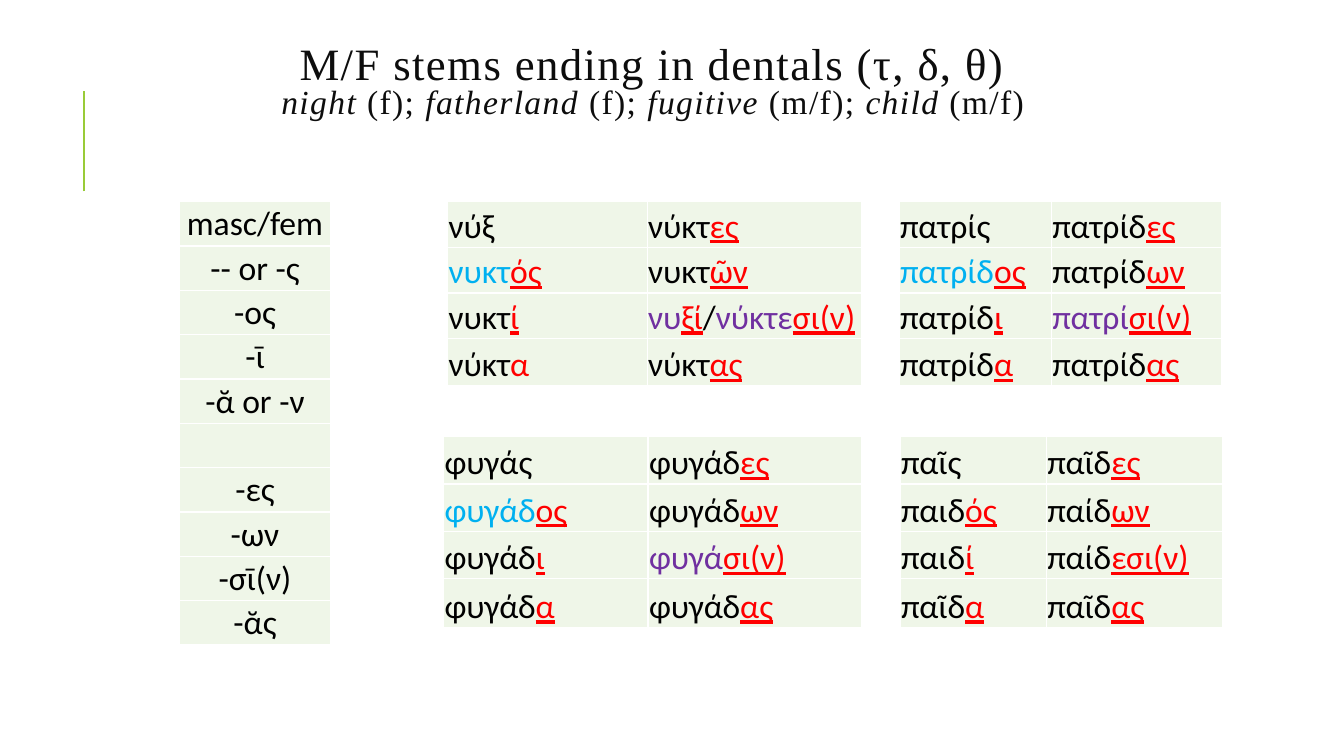
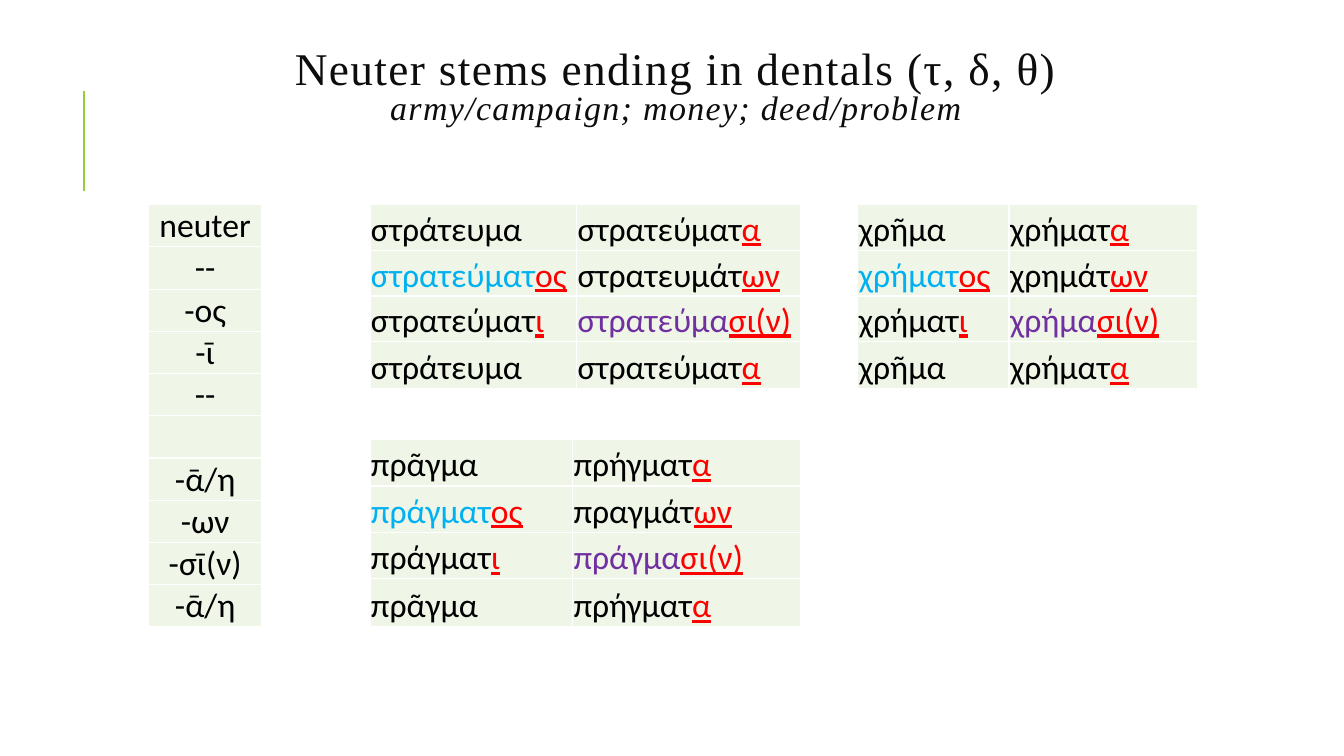
from dataclasses import dataclass

from lxml import etree
from pptx import Presentation
from pptx.dml.color import RGBColor
from pptx.enum.shapes import MSO_CONNECTOR
from pptx.enum.text import MSO_ANCHOR, PP_ALIGN
from pptx.oxml.ns import qn
from pptx.util import Inches, Pt

CENTER, LEFT = PP_ALIGN.CENTER, PP_ALIGN.LEFT
MIDDLE, BOTTOM = MSO_ANCHOR.MIDDLE, MSO_ANCHOR.BOTTOM
STRAIGHT = MSO_CONNECTOR.STRAIGHT


@dataclass(frozen=True)
class Theme:
    title_font: str = "Times New Roman"
    body_font: str = "Calibri"
    title_color: str = "0D0D0D"
    text: str = "000000"
    ending: str = "FF0000"
    genitive: str = "00B0F0"
    dative: str = "7030A0"
    accent: str = "99CB38"
    cell: str = "EFF6E8"
    border: str = "FFFFFF"
    title_size: float = 32
    subtitle_ratio: float = 0.75
    body_size: float = 24


THEME = Theme()

# First character of a word part -> its format
MARKS = {
    "+": dict(color=THEME.ending, underline=True),
    "!": dict(color=THEME.ending),
    "@": dict(color=THEME.genitive),
    "#": dict(color=THEME.dative),
}


def add_run(p, text, font=THEME.body_font, size=THEME.body_size,
            color=THEME.text, italic=None, underline=None, spacing=None):
    r = p.add_run()
    r.text = text
    f = r.font
    f.name, f.size, f.italic, f.underline = font, Pt(size), italic, underline
    f.color.rgb = RGBColor.from_string(color)
    if spacing:
        r._r.get_or_add_rPr().set("spc", str(spacing * 100))


def set_borders(cell, color, width):
    tcPr = cell._tc.get_or_add_tcPr()
    for i, side in enumerate(("lnL", "lnR", "lnT", "lnB")):
        ln = etree.Element(qn("a:" + side), w=str(Pt(width)))
        fill = etree.SubElement(ln, qn("a:solidFill"))
        etree.SubElement(fill, qn("a:srgbClr"), val=color)
        tcPr.insert(i, ln)


class Deck:
    """Lengths are percentages of the slide's width (x) and height (y)."""

    def __init__(self, theme):
        self.theme = theme
        self.prs = Presentation()
        self.prs.slide_width, self.prs.slide_height = Inches(13.333), Inches(7.5)

    def x(self, share):
        return round(self.prs.slide_width * share / 100)

    def y(self, share):
        return round(self.prs.slide_height * share / 100)

    def new_slide(self):
        self.s = self.prs.slides.add_slide(self.prs.slide_layouts[6])
        self.side_line()

    def side_line(self):
        x = self.x(6.25)
        line = self.s.shapes.add_connector(STRAIGHT, x, self.y(25.33), x, self.y(12))
        line.line.color.rgb = RGBColor.from_string(self.theme.accent)
        line.line.width = Pt(1.5)
        etree.SubElement(line._element.spPr, qn("a:effectLst"))

    def title(self, box, heading, subtitle, size=THEME.title_size):
        """In the subtitle, asterisks enclose italics."""
        left, top, width, height = box
        tf = self.s.shapes.add_textbox(self.x(left), self.y(top),
                                       self.x(width), self.y(height)).text_frame
        tf.word_wrap = True
        tf.vertical_anchor = MIDDLE
        p = tf.paragraphs[0]
        p.alignment, p.line_spacing = CENTER, 0.8
        style = dict(font=self.theme.title_font, color=self.theme.title_color, spacing=1)
        add_run(p, heading, size=size, **style)
        p.add_line_break()
        for i, part in enumerate(subtitle.split("*")):
            if part:
                add_run(p, part, size=size * self.theme.subtitle_ratio,
                        italic=i % 2 == 1, **style)

    def table(self, left, top, widths, height, rows, anchor, align, last_extra=0):
        """Each cell is a list of marked word parts."""
        tbl = self.s.shapes.add_table(len(rows), len(widths), self.x(left), self.y(top),
                                      self.x(sum(widths)), self.y(height)).table
        tbl.first_row = tbl.horz_banding = False
        for col, width in zip(tbl.columns, widths):
            col.width = self.x(width)
        for row in tbl.rows:
            row.height = self.y((height - last_extra) / len(rows))
        tbl.rows[len(rows) - 1].height += self.y(last_extra)
        for i, row in enumerate(rows):
            for j, parts in enumerate(row):
                self.cell(tbl.cell(i, j), parts, anchor, align)

    def cell(self, cell, parts, anchor, align):
        cell.fill.solid()
        cell.fill.fore_color.rgb = RGBColor.from_string(self.theme.cell)
        set_borders(cell, self.theme.border, 1)
        cell.margin_left = cell.margin_right = cell.margin_top = Inches(0.01)
        cell.margin_bottom = 0
        cell.vertical_anchor = anchor
        p = cell.text_frame.paragraphs[0]
        p.alignment = align
        p.font.size = Pt(self.theme.body_size)
        for part in parts:
            style = MARKS.get(part[0], {})
            add_run(p, part[1:] if style else part, **style)

    def endings(self, left, top, width, height, texts):
        rows = [[[text] if text else []] for text in texts]
        self.table(left, top, [width], height, rows, MIDDLE, CENTER)

    def paradigm(self, left, top, widths, height, forms):
        """Forms are (singular, plural) pairs; spaces separate word parts."""
        rows = [[form.split() for form in pair] for pair in forms]
        self.table(left, top, widths, height, rows, BOTTOM, LEFT, last_extra=0.2)


def main():
    deck = Deck(THEME)

    # Masculine and feminine stems
    deck.new_slide()
    deck.title((8.7, 4.53, 79.73, 13.07), "M/F stems ending in dentals (τ, δ, θ)",
               "*night *(f); *fatherland *(f); *fugitive *(m/f); *child *(m/f)")
    upper, lower = 26.67, 57.73
    deck.endings(13.35, upper, 11.25, 58.67,
                 ["masc/fem", "-- or -ς", "-ος", "-ῑ", "-ᾰ or -ν", "",
                  "-ες", "-ων", "-σῑ(ν)", "-ᾰς"])
    deck.paradigm(33.3, upper, [14.85, 15.98], 24.4, [
        ("νύξ", "νύκτ +ες"),
        ("@νυκτ +ός", "νυκτ +ῶν"),
        ("νυκτ +ί", "#νυ +ξί / #νύκτε +σι(ν)"),
        ("νύκτ !α", "νύκτ +ας")])
    deck.paradigm(66.9, upper, [11.33, 12.68], 24.4, [
        ("πατρίς", "πατρίδ +ες"),
        ("@πατρίδ +ος", "πατρίδ +ων"),
        ("πατρίδ +ι", "#πατρί +σι(ν)"),
        ("πατρίδ +α", "πατρίδ +ας")])
    deck.paradigm(33, lower, [15.22, 15.9], 25.33, [
        ("φυγάς", "φυγάδ +ες"),
        ("@φυγάδ +ος", "φυγάδ +ων"),
        ("φυγάδ +ι", "#φυγά +σι(ν)"),
        ("φυγάδ +α", "φυγάδ +ας")])
    deck.paradigm(66.98, lower, [10.88, 13.13], 25.33, [
        ("παῖς", "παῖδ +ες"),
        ("παιδ +ός", "παίδ +ων"),
        ("παιδ +ί", "παίδ +εσι(ν)"),
        ("παῖδ +α", "παῖδ +ας")])

    # Neuter stems
    deck.new_slide()
    deck.title((8.4, 5.6, 83.85, 12.4), "Neuter stems ending in dentals (τ, δ, θ)",
               "*army/campaign; money; deed/problem*", size=32.4)
    upper, lower = 27.07, 58.13
    deck.endings(11.03, upper, 8.47, 55.87,
                 ["neuter", "--", "-ος", "-ῑ", "--", "",
                  "-ᾱ/η", "-ων", "-σῑ(ν)", "-ᾱ/η"])
    deck.paradigm(27.53, upper, [15.37, 16.65], 24.4, [
        ("στράτευμα", "στρατεύματ +α"),
        ("@στρατεύματ +ος", "στρατευμάτ +ων"),
        ("στρατεύματ +ι", "#στρατεύμα +σι(ν)"),
        ("στράτευμα", "στρατεύματ +α")])
    deck.paradigm(63.83, upper, [11.25, 14.02], 24.4, [
        ("χρῆμα", "χρήματ +α"),
        ("@χρήματ +ος", "χρημάτ +ων"),
        ("χρήματ +ι", "#χρήμα +σι(ν)"),
        ("χρῆμα", "χρήματ +α")])
    deck.paradigm(27.53, lower, [15.07, 16.95], 24.8, [
        ("πρᾶγμα", "πρήγματ +α"),
        ("@πράγματ +ος", "πραγμάτ +ων"),
        ("πράγματ +ι", "#πράγμα +σι(ν)"),
        ("πρᾶγμα", "πρήγματ +α")])

    deck.prs.save("out.pptx")


if __name__ == "__main__":
    main()
